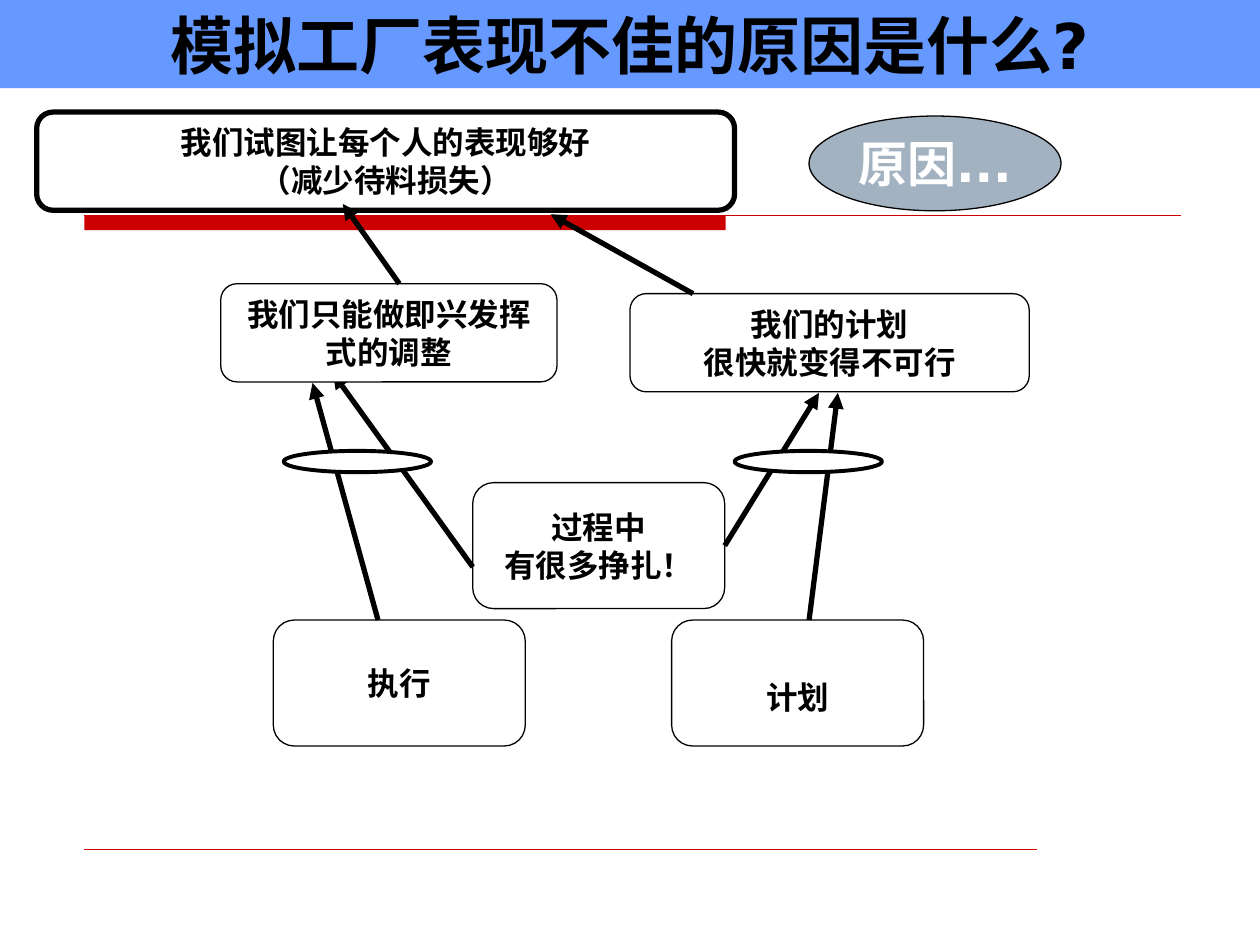
"""Build a cause-and-effect tree on why the simulated plant performs poorly."""
from lxml.etree import SubElement
from pptx import Presentation
from pptx.dml.color import RGBColor
from pptx.enum.shapes import MSO_CONNECTOR, MSO_SHAPE
from pptx.enum.text import MSO_ANCHOR, PP_ALIGN
from pptx.oxml.ns import qn
from pptx.util import Cm, Pt

FONT = "DejaVu Sans"
HUES = {"black": "000000", "white": "FFFFFF", "red": "CC0000",
        "blue": "6699FF", "grey": "A3B2C1"}
TITLE = "模拟工厂表现不佳的原因是什么?"
BADGE = "原因..."
ROOTS = [
    ("执行", 5.51, 12.5),
    ("过程中\n有很多挣扎！", 9.53, 9.73),
    ("", 13.54, 12.5),
]
PLAN = "计划"
CAUSES = [
    ("我们试图让每个人的表现够好\n（减少待料损失）", 0.74, 2.26, 14.07, 3),
    ("我们只能做即兴发挥式的调整", 4.45, 5.72, 6.78, 0.75),
    ("我们的计划\n很快就变得不可行", 12.7, 5.92, 8.05, 0.75),
]
LOW = [
    (7.62, 12.5, 6.3, 7.72),
    (9.53, 11.43, 6.71, 7.52),
    (16.31, 12.5, 16.89, 7.92),
    (14.61, 11, 16.51, 7.92),
]
HIGH = [(8.05, 5.72, 6.91, 4.11), (13.97, 5.92, 11.1, 4.32)]
RINGS = [5.72, 14.81]


def hue(name):
    return RGBColor.from_string(HUES[name])


def write(shape, text, size=18, color="black", anchor=MSO_ANCHOR.MIDDLE, wrap=True):
    frame = shape.text_frame
    frame.text = text
    frame.word_wrap = wrap
    frame.vertical_anchor = anchor
    for para in frame.paragraphs:
        para.alignment = PP_ALIGN.CENTER
        for run in para.runs:
            run.font.name = FONT
            run.font.size = Pt(size)
            run.font.bold = True
            run.font.color.rgb = hue(color)


def draw(slide, kind, x, y, w, h, fill="white", width=0.75):
    shape = slide.shapes.add_shape(kind, Cm(x), Cm(y), Cm(w), Cm(h))
    shape.shadow.inherit = False
    shape.fill.solid()
    shape.fill.fore_color.rgb = hue(fill)
    if width:
        shape.line.color.rgb = hue("black")
        shape.line.width = Pt(width)
    else:
        shape.line.fill.background()
    return shape


def join(slide, ends, color="black", width=3, head=True):
    link = slide.shapes.add_connector(MSO_CONNECTOR.STRAIGHT, *map(Cm, ends))
    link.line.color.rgb = hue(color)
    link.line.width = Pt(width)
    if head:
        SubElement(link.line._get_or_add_ln(), qn("a:tailEnd"), type="triangle")
    SubElement(link._element.spPr, qn("a:effectLst"))


def main():
    deck = Presentation()
    deck.slide_width, deck.slide_height = Cm(25.4), Cm(19.05)
    slide = deck.slides.add_slide(deck.slide_layouts[6])

    draw(slide, MSO_SHAPE.RECTANGLE, 1.7, 4.34, 12.93, 0.3, "red", 0)
    join(slide, (1.7, 4.34, 23.8, 4.34), "red", 0.75, False)
    join(slide, (1.7, 17.12, 20.9, 17.12), "red", 0.25, False)

    band = draw(slide, MSO_SHAPE.RECTANGLE, 0, 0, 25.4, 1.78, "blue", 0)
    write(band, TITLE, 36, anchor=MSO_ANCHOR.TOP)

    for text, x, y in ROOTS:
        box = draw(slide, MSO_SHAPE.ROUNDED_RECTANGLE, x, y, 5.08, 2.54)
        if text:
            write(box, text, wrap=False)
    label = slide.shapes.add_textbox(Cm(13.54), Cm(13.54), Cm(5.08), Cm(1.02))
    write(label, PLAN, anchor=MSO_ANCHOR.TOP)

    for ends in LOW:
        join(slide, ends)
    for x in RINGS:
        draw(slide, MSO_SHAPE.OVAL, x, 9.09, 2.97, 0.43, width=2.25)

    for text, x, y, w, width in CAUSES:
        box = draw(slide, MSO_SHAPE.ROUNDED_RECTANGLE, x, y, w, 1.98, width=width)
        write(box, text)
    for ends in HIGH:
        join(slide, ends)

    badge = draw(slide, MSO_SHAPE.OVAL, 16.31, 2.34, 5.08, 1.91, "grey")
    write(badge, BADGE, 28, "white", wrap=False)

    deck.save("out.pptx")


if __name__ == "__main__":
    main()
